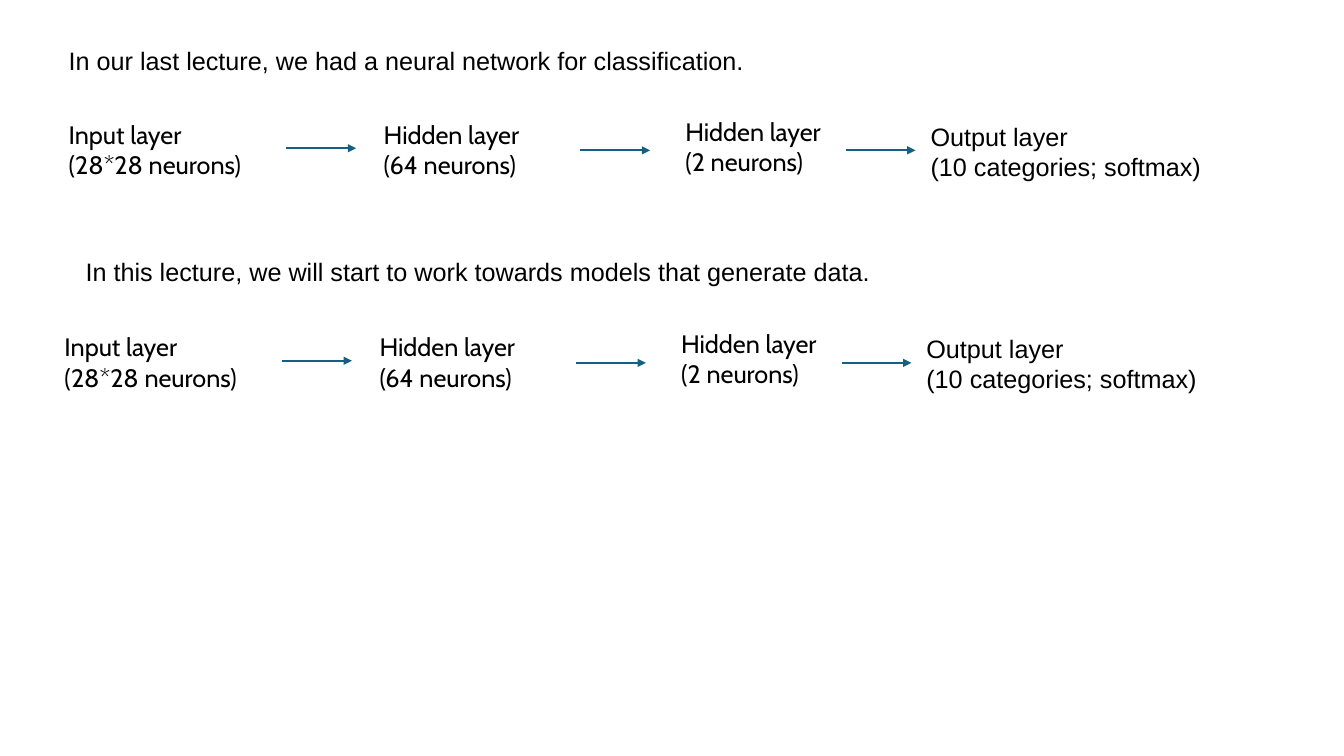
from lxml.etree import SubElement
from pptx import Presentation
from pptx.dml.color import RGBColor
from pptx.enum.shapes import MSO_CONNECTOR
from pptx.oxml.ns import qn
from pptx.util import Inches, Pt

COLORS = {"text": "000000", "arrow": "156082", "background": "FFFFFF"}
COLUMNS, ROWS = 160, 90
BOX_ROWS = 8.5
ARROW_COLUMNS = 8.3

HEADINGS = [
    (7, 4.8, 83.5, "In our last lecture, we had a neural network for classification."),
    (9, 29.9, 96.7, "In this lecture, we will start to work towards models that generate data."),
]
LAYERS = [
    (7, 13.6, 23.4, "Input layer\n(28*28 neurons)", "Cabin"),
    (44.5, 13.6, 19, "Hidden layer\n(64 neurons)", "Cabin"),
    (80.4, 13.2, 19, "Hidden layer\n(2 neurons)", "Cabin"),
    (109.6, 13.8, 34.9, "Output layer\n(10 categories; softmax)", "Arial"),
]
ARROWS = [(34.1, 17.65), (69.1, 17.9), (100.7, 17.9)]
NETWORK_OFFSETS = [(0, 0), (-0.5, 25.3)]


class SlideBuilder:
    """Draws styled elements on one slide, measured in grid columns and rows."""

    def __init__(self, presentation):
        self.slide = presentation.slides.add_slide(presentation.slide_layouts[6])
        self.column = presentation.slide_width / COLUMNS
        self.row = presentation.slide_height / ROWS
        fill = self.slide.background.fill
        fill.solid()
        fill.fore_color.rgb = RGBColor.from_string(COLORS["background"])

    def place(self, column, row):
        return round(column * self.column), round(row * self.row)

    def text(self, column, row, columns, content, font_name="Arial"):
        shape = self.slide.shapes.add_textbox(
            *self.place(column, row), *self.place(columns, BOX_ROWS))
        text_frame = shape.text_frame
        text_frame.word_wrap = False
        text_frame.text = content
        for paragraph in text_frame.paragraphs:
            for run in paragraph.runs:
                run.font.name = font_name
                run.font.size = Pt(18)
                run.font.color.rgb = RGBColor.from_string(COLORS["text"])

    def arrow(self, column, row):
        connector = self.slide.shapes.add_connector(
            MSO_CONNECTOR.STRAIGHT,
            *self.place(column, row), *self.place(column + ARROW_COLUMNS, row))
        connector.line.color.rgb = RGBColor.from_string(COLORS["arrow"])
        connector.line.width = Pt(1.5)
        SubElement(connector.line._get_or_add_ln(), qn("a:tailEnd"), type="triangle")
        SubElement(connector._element.spPr, qn("a:effectLst"))

    def network(self, column_offset, row_offset):
        for column, row, columns, content, font_name in LAYERS:
            self.text(column + column_offset, row + row_offset, columns, content, font_name)
        for column, row in ARROWS:
            self.arrow(column + column_offset, row + row_offset)


def main():
    presentation = Presentation()
    presentation.slide_width = Inches(13.33)
    presentation.slide_height = Inches(7.5)
    builder = SlideBuilder(presentation)
    for heading, offsets in zip(HEADINGS, NETWORK_OFFSETS):
        builder.text(*heading)
        builder.network(*offsets)
    presentation.save("out.pptx")


if __name__ == "__main__":
    main()
